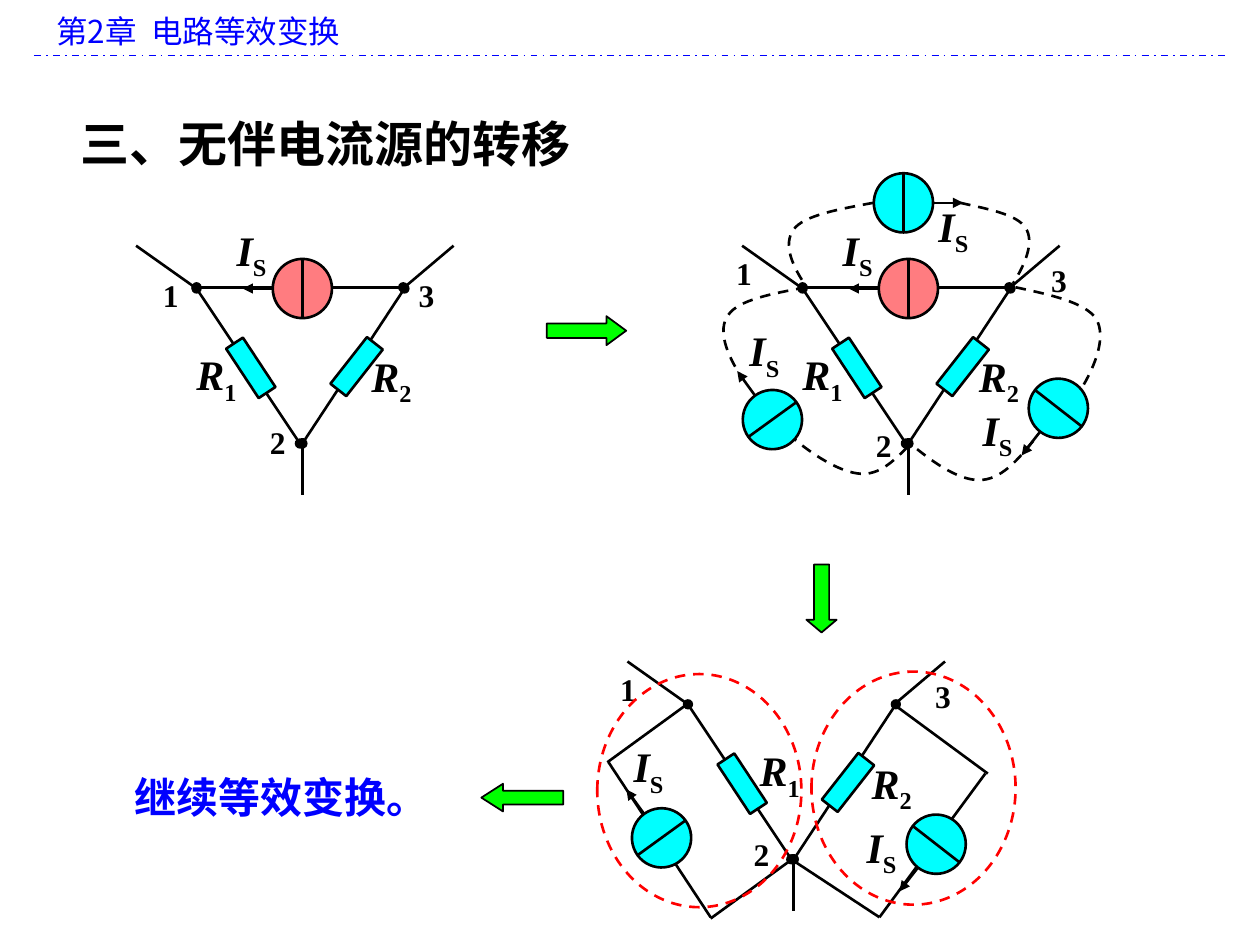
from math import cos, radians, sin

from lxml import etree
from pptx import Presentation
from pptx.dml.color import RGBColor
from pptx.enum.dml import MSO_LINE
from pptx.enum.shapes import MSO_CONNECTOR, MSO_SHAPE
from pptx.enum.text import MSO_ANCHOR, MSO_AUTO_SIZE, PP_ALIGN
from pptx.oxml.ns import qn
from pptx.util import Cm, Pt

DASH, DASH_DOT = MSO_LINE.DASH, MSO_LINE.DASH_DOT
STRAIGHT = MSO_CONNECTOR.STRAIGHT
OVAL, RECTANGLE, ARROW = MSO_SHAPE.OVAL, MSO_SHAPE.RECTANGLE, MSO_SHAPE.RIGHT_ARROW
TOP, MIDDLE = MSO_ANCHOR.TOP, MSO_ANCHOR.MIDDLE
LEFT, CENTER, JUSTIFY = PP_ALIGN.LEFT, PP_ALIGN.CENTER, PP_ALIGN.JUSTIFY
GROW = MSO_AUTO_SIZE.SHAPE_TO_FIT_TEXT

THEME = {
    "black": "000000", "blue": "0000FF", "cyan": "00FFFF",
    "pink": "FF7C80", "green": "00FF00", "red": "FF0000",
    "latin": "Times New Roman", "chinese": "Noto Sans CJK SC",
    "title": 28, "symbol": 24, "small": 18, "wire": 1.5, "thin": 1,
}

# ---- Content: positions are in grid units of 2.54 cm ----
UNIT = 2.54
HEADER = "第2章  电路等效变换"
TITLE = "三、无伴电流源的转移"
CONCLUSION = "继续等效变换。"

# Parts shared by every circuit, relative to its origin
BRANCHES = [((1.56, 2.29), (2.38, 3.52)), ((3.21, 2.29), (2.4, 3.52))]
LEADS = [((2.4, 3.48), (2.4, 3.93)), ((1.08, 1.95), (1.56, 2.29)),
         ((3.21, 2.28), (3.6, 1.95))]
TOP_BRANCH = ((1.56, 2.28), (3.2, 2.28))
TOP_SOURCE = (2.4, 2.29)
RESISTORS = [((2.83, 2.91), 128.1), ((1.99, 2.92), 56.6)]

# sources: centre x, centre y, arrow direction in degrees clockwise from right
# symbols: letter, subscript, left, top; nodes: number, left, top
CIRCUITS = [
    {"origin": (0, 0), "top_source": True, "wires": [], "sources": [], "curves": [],
     "nodes": [("1", 1.19, 2.14), ("2", 2.04, 3.31), ("3", 3.22, 2.14)],
     "symbols": [("I", "S", 1.78, 1.73), ("R", "2", 2.85, 2.73), ("R", "1", 1.46, 2.72)]},
    {"origin": (4.81, 0), "top_source": True, "wires": [],
     "sources": [(7.17, 1.61, 0), (6.13, 3.33, 234.1), (8.4, 3.24, 127.9)],
     "curves": [
         [(8.06, 2.28), (8.34, 2.34), (8.61, 2.4), (8.7, 2.53),
          (8.78, 2.67), (8.7, 2.89), (8.58, 3.09)],
         [(7.62, 1.61), (7.84, 1.66), (8.07, 1.7), (8.14, 1.81),
          (8.21, 1.92), (8.14, 2.09), (8.04, 2.25)],
         [(6.4, 2.28), (6.13, 2.33), (5.86, 2.38), (5.78, 2.5),
          (5.69, 2.62), (5.77, 2.82), (5.89, 3)],
         [(8.2, 3.5), (8.07, 3.66), (7.94, 3.81), (7.77, 3.81),
          (7.6, 3.81), (7.39, 3.66), (7.2, 3.5)],
         [(7.2, 3.55), (7.09, 3.66), (6.98, 3.77), (6.83, 3.76),
          (6.68, 3.75), (6.48, 3.63), (6.31, 3.49)],
         [(6.93, 1.61), (6.66, 1.66), (6.38, 1.71), (6.3, 1.82),
          (6.21, 1.94), (6.29, 2.12), (6.41, 2.29)]],
     "nodes": [("1", 5.74, 1.97), ("2", 6.85, 3.33), ("3", 8.24, 2.02)],
     "symbols": [("I", "S", 6.59, 1.73), ("R", "2", 7.67, 2.73), ("R", "1", 6.27, 2.72),
                 ("I", "S", 7.35, 1.54), ("I", "S", 5.85, 2.53), ("I", "S", 7.7, 3.16)]},
    {"origin": (3.9, 3.3), "top_source": False,
     "wires": [((6.98, 7.28), (7.82, 6.14)), ((5.64, 7.28), (4.83, 6.05)),
               ((5.48, 5.57), (4.82, 6.05)), ((6.3, 6.81), (5.64, 7.29)),
               ((7.84, 6.14), (7.08, 5.58)), ((6.98, 7.28), (6.28, 6.82))],
     "sources": [(5.25, 6.65, 234.1), (7.43, 6.7, 127.9)], "curves": [],
     "nodes": [("1", 4.82, 5.27), ("2", 5.88, 6.58), ("3", 7.32, 5.32)],
     "symbols": [("R", "2", 6.82, 5.96), ("R", "1", 5.93, 5.86),
                 ("I", "S", 4.93, 5.83), ("I", "S", 6.78, 6.47)]},
]
# box, rotation, head length ratio
BLOCK_ARROWS = [((6.25, 4.63, 0.54, 0.24), 90, 0.42), ((4.34, 2.51, 0.63, 0.23), 0, 0.68),
                ((3.82, 6.22, 0.65, 0.22), 180, 0.78)]
LOOPS = [(6.44, 5.33, 1.62, 1.85), (4.74, 5.35, 1.62, 1.85)]


# ---- Drawing helpers ----
def grid(*values):
    return [Cm(value * UNIT) for value in values]


def color(name):
    return RGBColor.from_string(THEME[name])


def style_line(line, name="black", width="wire", dash=None):
    line.color.rgb = color(name)
    line.width = Pt(THEME[width])
    if dash:
        line.dash_style = dash


def add_line(shapes, start, end, head=None, tail=None, **style):
    connector = shapes.add_connector(STRAIGHT, *grid(*start, *end))
    style_line(connector.line, **style)
    properties = connector.element.spPr
    outline = properties.find(qn("a:ln"))
    for tag, kind in (("a:headEnd", head), ("a:tailEnd", tail)):
        if kind:
            etree.SubElement(outline, qn(tag), type=kind)
    etree.SubElement(properties, qn("a:effectLst"))


def add_preset(shapes, preset, box, fill=None, rotation=0, **style):
    shape = shapes.add_shape(preset, *grid(*box))
    shape.shadow.inherit = False
    shape.rotation = rotation
    if fill:
        shape.fill.solid()
        shape.fill.fore_color.rgb = color(fill)
    else:
        shape.fill.background()
    style_line(shape.line, **style)
    return shape


def add_curve(shapes, points):
    start, *others = [grid(*point) for point in points]
    builder = shapes.build_freeform(*start, scale=1.0)
    builder.add_line_segments(others, close=False)
    shape = builder.convert_to_shape()
    shape.shadow.inherit = False
    shape.fill.background()
    style_line(shape.line, dash=DASH)
    # Every three points become one Bezier segment
    outline = shape.element.find(".//" + qn("a:path"))
    segments = outline.findall(qn("a:lnTo"))
    for first in range(0, len(segments), 3):
        bezier = etree.SubElement(outline, qn("a:cubicBezTo"))
        for segment in segments[first:first + 3]:
            bezier.append(segment[0])
            outline.remove(segment)


def write(shape, runs, size, name="black", latin="latin", bold=True,
          align=LEFT, anchor=TOP, wrap=True):
    frame = shape.text_frame
    frame.word_wrap, frame.auto_size, frame.vertical_anchor = wrap, GROW, anchor
    paragraph = frame.paragraphs[0]
    paragraph.alignment = align
    for text, italic, baseline in runs:
        run = paragraph.add_run()
        run.text = text
        font = run.font
        font.size, font.bold, font.italic = Pt(THEME[size]), bold, italic
        font.color.rgb = color(name)
        font.name = THEME[latin]
        properties = run._r.get_or_add_rPr()
        etree.SubElement(properties, qn("a:ea"), typeface=THEME["chinese"])
        if baseline:
            properties.set("baseline", str(baseline))
    return frame


def add_source(shapes, x, y, angle, fill="cyan", radius=0.235, arrow=0.24):
    dx, dy = cos(radians(angle)), sin(radians(angle))
    tip = radius + arrow
    add_line(shapes, (x + tip * dx, y + tip * dy), (x + radius * dx, y + radius * dy),
             head="triangle")
    add_preset(shapes, OVAL, (x - radius, y - radius, 2 * radius, 2 * radius), fill,
               (angle + 180) % 360)
    add_line(shapes, (x - radius * dy, y + radius * dx), (x + radius * dy, y - radius * dx))


def add_circuit(shapes, circuit):
    left, top = circuit["origin"]

    def place(point):
        return point[0] + left, point[1] + top

    for start, end in circuit["wires"]:
        add_line(shapes, start, end)
    for start, end in BRANCHES + [TOP_BRANCH] * circuit["top_source"]:
        add_line(shapes, place(start), place(end), head="oval", tail="oval")
    for start, end in LEADS:
        add_line(shapes, place(start), place(end))
    for center, angle in RESISTORS:
        x, y = place(center)
        add_preset(shapes, RECTANGLE, (x - 0.235, y - 0.08, 0.47, 0.16), "cyan", angle)
    if circuit["top_source"]:
        add_source(shapes, *place(TOP_SOURCE), 180, "pink")
    for source in circuit["sources"]:
        add_source(shapes, *source)
    for points in circuit["curves"]:
        add_curve(shapes, points)
    for number, x, y in circuit["nodes"]:
        write(shapes.add_textbox(*grid(x, y, 0.33, 0.4)), [(number, False, 0)], "small",
              align=CENTER, anchor=MIDDLE, wrap=False)
    for letter, subscript, x, y in circuit["symbols"]:
        write(shapes.add_textbox(*grid(x, y, 0.83, 0.5)),
              [(letter, True, 0), (subscript, False, -25000)], "symbol")


# ---- Slide ----
presentation = Presentation()
presentation.slide_width, presentation.slide_height = grid(10, 7.5)
slide = presentation.slides.add_slide(presentation.slide_layouts[5])
shapes = slide.shapes

# Header and title
write(shapes.add_textbox(*grid(0.35, 0.05, 9.37, 0.4)), [(HEADER, False, 0)], "small",
      name="blue", latin="chinese", bold=False)
add_line(shapes, (0.27, 0.44), (9.72, 0.44), name="blue", width="thin", dash=DASH_DOT)
title = shapes.title
title.left, title.top, title.width, title.height = grid(0.54, 0.85, 9.08, 0.57)
write(title, [(TITLE, False, 0)], "title")

# Circuits
for circuit in CIRCUITS:
    add_circuit(shapes.add_group_shape().shapes, circuit)

# Flow arrows and highlighted loops
for box, rotation, head_ratio in BLOCK_ARROWS:
    arrow = add_preset(shapes, ARROW, box, "green", rotation, width="thin")
    arrow.adjustments[0], arrow.adjustments[1] = 0.5, head_ratio
for box in LOOPS:
    add_preset(shapes, OVAL, box, name="red", dash=DASH)

# Conclusion
frame = write(shapes.add_textbox(*grid(1.07, 6.12, 3.31, 0.4)), [(CONCLUSION, False, 0)],
              "symbol", name="blue", align=JUSTIFY)
frame.margin_left = frame.margin_right = frame.margin_top = frame.margin_bottom = 0

presentation.save("out.pptx")
